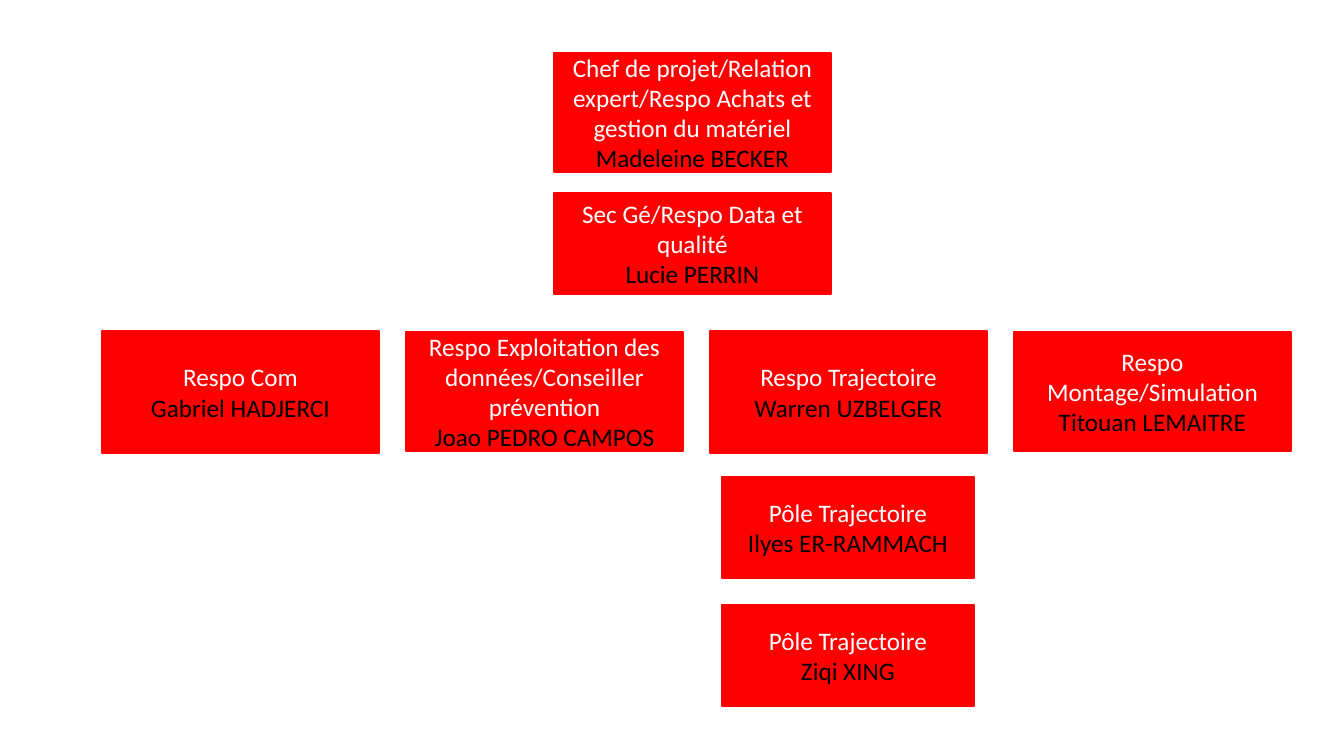
from pptx import Presentation
from pptx.dml.color import RGBColor
from pptx.enum.shapes import MSO_SHAPE
from pptx.enum.text import MSO_ANCHOR, PP_ALIGN
from pptx.util import Pt

RECTANGLE = MSO_SHAPE.RECTANGLE
MIDDLE = MSO_ANCHOR.MIDDLE
CENTER = PP_ALIGN.CENTER
EMU_PER_PIXEL = 914400 / 100.8
RED, WHITE, BLACK = "FF0000", "FFFFFF", "000000"
FONT = {"name": "Calibri", "size": Pt(18)}
CARD_WIDTH, POLE_WIDTH, SMALL_HEIGHT = 277, 252, 101

# Each entry: top, height, role, person
LEADERS = [
    (53, 119, "Chef de projet/Relation expert/Respo Achats et gestion du matériel",
     "Madeleine BECKER"),
    (193, SMALL_HEIGHT, "Sec Gé/Respo Data et qualité", "Lucie PERRIN"),
]
MANAGERS = [
    (331, 122, "Respo Com", "Gabriel HADJERCI"),
    (332, 119, "Respo Exploitation des données/Conseiller prévention",
     "Joao PEDRO CAMPOS"),
    (331, 122, "Respo Trajectoire", "Warren UZBELGER"),
    (332, 119, "Respo Montage/Simulation", "Titouan LEMAITRE"),
]
POLES = [
    (477, SMALL_HEIGHT, "Pôle Trajectoire", "Ilyes ER-RAMMACH"),
    (605, SMALL_HEIGHT, "Pôle Trajectoire", "Ziqi XING"),
]


def px(pixels):
    """Turn pixels into EMU."""
    return round(pixels * EMU_PER_PIXEL)


def color(hex_value):
    """Turn a hex string into a colour."""
    return RGBColor.from_string(hex_value)


def add_card(slide, left, top, width, height, role, person):
    """Draw one red card with a role above a person's name."""
    shape = slide.shapes.add_shape(RECTANGLE, px(left), px(top), px(width), px(height))
    shape.shadow.inherit = False
    shape.fill.solid()
    shape.fill.fore_color.rgb = color(RED)
    shape.line.color.rgb = color(RED)
    shape.line.width = Pt(1)
    frame = shape.text_frame
    frame.word_wrap = True
    frame.vertical_anchor = MIDDLE
    frame.text = f"{role}\n{person}"
    for paragraph, text_color in zip(frame.paragraphs, (WHITE, BLACK)):
        paragraph.alignment = CENTER
        font = paragraph.runs[0].font
        for name, value in FONT.items():
            setattr(font, name, value)
        font.color.rgb = color(text_color)


def add_cards(slide, left, width, entries, pitch=0):
    """Draw a column of cards, or a row when a horizontal pitch is given."""
    for index, (top, height, role, person) in enumerate(entries):
        add_card(slide, left + index * pitch, top, width, height, role, person)


def build_organisation_chart(slide):
    """Place the leaders, the managers and the trajectory poles."""
    add_cards(slide, 554, CARD_WIDTH, LEADERS)
    add_cards(slide, 102, CARD_WIDTH, MANAGERS, pitch=304)
    add_cards(slide, 722, POLE_WIDTH, POLES)


presentation = Presentation()
presentation.slide_width, presentation.slide_height = px(1344), px(756)
build_organisation_chart(presentation.slides.add_slide(presentation.slide_layouts[6]))
presentation.save("out.pptx")
